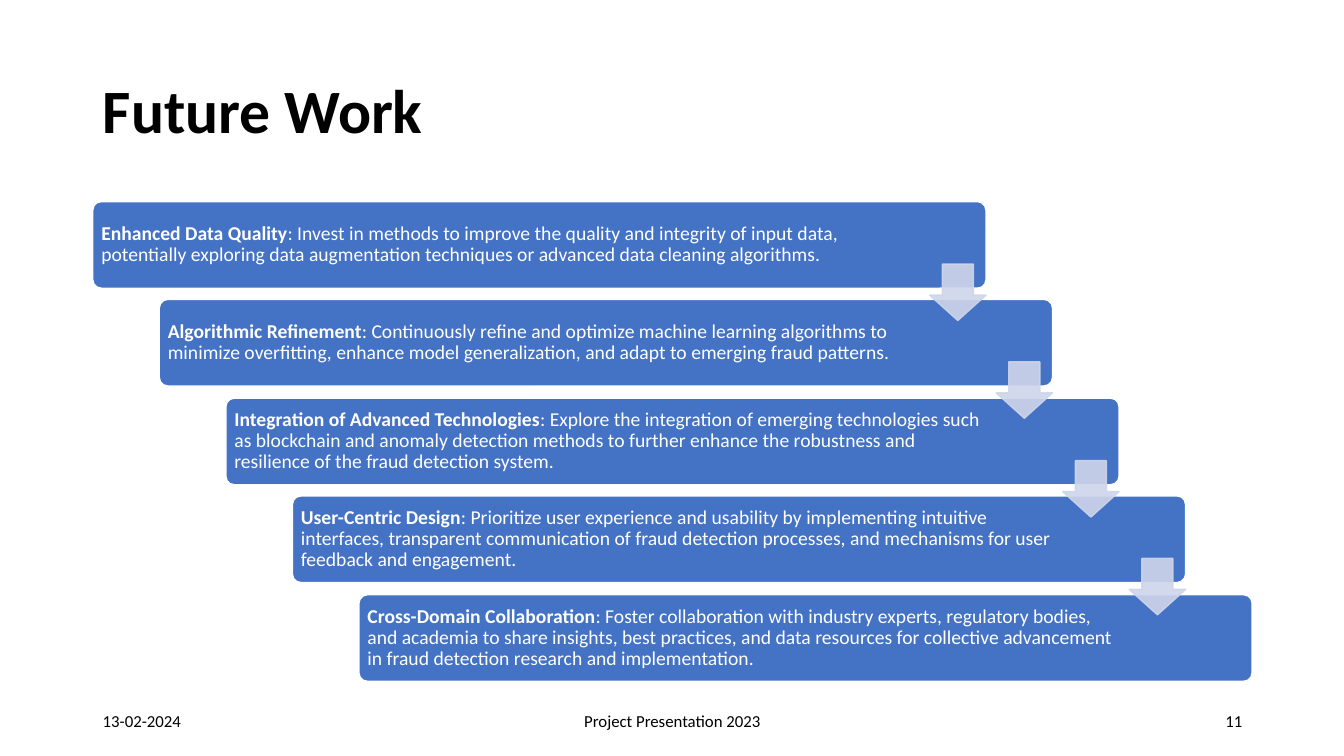
import pptx
import pptx.util
import pptx.dml.color
import pptx.enum.shapes
import pptx.enum.text
import pptx.oxml
import pptx.oxml.ns

PX = 9144  # EMU per px, 100 px to the inch
FONT = "Calibri"
BLUE, PALE, WHITE, BLACK = "4472C4", "CFD5EA", "FFFFFF", "000000"
ALIGN = pptx.enum.text.PP_ALIGN
SHAPES = pptx.enum.shapes.MSO_SHAPE

STEPS = [
    ("Enhanced Data Quality",
     ": Invest in methods to improve the quality and integrity of input data, "
     "potentially exploring data augmentation techniques or advanced data "
     "cleaning algorithms."),
    ("Algorithmic Refinement",
     ": Continuously refine and optimize machine learning algorithms to "
     "minimize overfitting, enhance model generalization, and adapt to "
     "emerging fraud patterns."),
    ("Integration of Advanced Technologies",
     ": Explore the integration of emerging technologies such as blockchain "
     "and anomaly detection methods to further enhance the robustness and "
     "resilience of the fraud detection system."),
    ("User-Centric Design",
     ": Prioritize user experience and usability by implementing intuitive "
     "interfaces, transparent communication of fraud detection processes, and "
     "mechanisms for user feedback and engagement."),
    ("Cross-Domain Collaboration",
     ": Foster collaboration with industry experts, regulatory bodies, and "
     "academia to share insights, best practices, and data resources for "
     "collective advancement in fraud detection research and implementation."),
]


def px(*lengths):
    return [pptx.util.Emu(length * PX) for length in lengths]


def color(value):
    return pptx.dml.color.RGBColor.from_string(value)


def add_span(para, text, size, tint, bold=False):
    span = para.add_run()
    span.text = text
    span.font.name = FONT
    span.font.size = pptx.util.Pt(size)
    span.font.bold = bold
    span.font.color.rgb = color(tint)


def prepare_frame(box, align, spacing=1.0):
    """Wrap and centre the text vertically; return its first paragraph."""
    frame = box.text_frame
    frame.word_wrap = True
    frame.auto_size = pptx.enum.text.MSO_AUTO_SIZE.NONE
    frame.vertical_anchor = pptx.enum.text.MSO_ANCHOR.MIDDLE
    para = frame.paragraphs[0]
    para.alignment = align
    para.line_spacing = spacing
    return para


def set_title(page, text):
    title = page.shapes.title
    title.left, title.top, title.width, title.height = px(92, 40, 1150, 145)
    add_span(prepare_frame(title, ALIGN.LEFT, 0.9), text, 44, BLACK, True)


def add_block(page, kind, place, adjustments, fill, line):
    box = page.shapes.add_shape(kind, *px(*place))
    for index, value in enumerate(adjustments):
        box.adjustments[index] = value
    box.shadow.inherit = False
    box.fill.solid()
    box.fill.fore_color.rgb = color(fill)
    box.line.color.rgb = color(line)
    box.line.width = pptx.util.Pt(1)
    return box


def add_step(page, left, top, heading, detail, right_inset):
    box = add_block(page, SHAPES.ROUNDED_RECTANGLE, (left, top, 886, 86),
                    [0.1], BLUE, WHITE)
    para = prepare_frame(box, ALIGN.LEFT, 0.9)
    frame = box.text_frame
    frame.margin_left, frame.margin_right = px(6, right_inset)
    frame.margin_top, frame.margin_bottom = px(6, 6)
    add_span(para, heading, 14, WHITE, True)
    add_span(para, detail, 14, WHITE)


def add_arrow(page, left, top):
    arrow = add_block(page, SHAPES.DOWN_ARROW, (left, top, 56, 56),
                      [0.55, 0.45], PALE, PALE)
    # Fill and outline are both 90 % opaque
    for tint in arrow.element.spPr.iter(pptx.oxml.ns.qn("a:srgbClr")):
        tint.append(pptx.oxml.parse_xml(
            '<a:alpha %s val="90000"/>' % pptx.oxml.ns.nsdecls("a")))


def add_footer(page, left, width, text, align):
    box = page.shapes.add_textbox(*px(left, 695, width, 40))
    add_span(prepare_frame(box, align), text, 12, BLACK)


def main():
    deck = pptx.Presentation()
    deck.slide_width, deck.slide_height = px(1333, 750)
    page = deck.slides.add_slide(deck.slide_layouts[5])
    set_title(page, "Future Work")

    # Staircase of steps, each 66 px right of and 97.5 px below the last
    corners = [(92 + 66 * i, 200 + 195 * i // 2) for i in range(len(STEPS))]
    for index, ((left, top), step) in enumerate(zip(corners, STEPS)):
        add_step(page, left, top, *step, 128 if index else 105)

    # Arrows leading from each step to the next
    for left, top in corners[:-1]:
        add_arrow(page, left + 830, top + 62)

    # Footer
    add_footer(page, 92, 300, "13-02-2024", ALIGN.LEFT)
    add_footer(page, 442, 450, "Project Presentation 2023", ALIGN.CENTER)
    add_footer(page, 942, 300, "11", ALIGN.RIGHT)
    deck.save("out.pptx")


if __name__ == "__main__":
    main()
